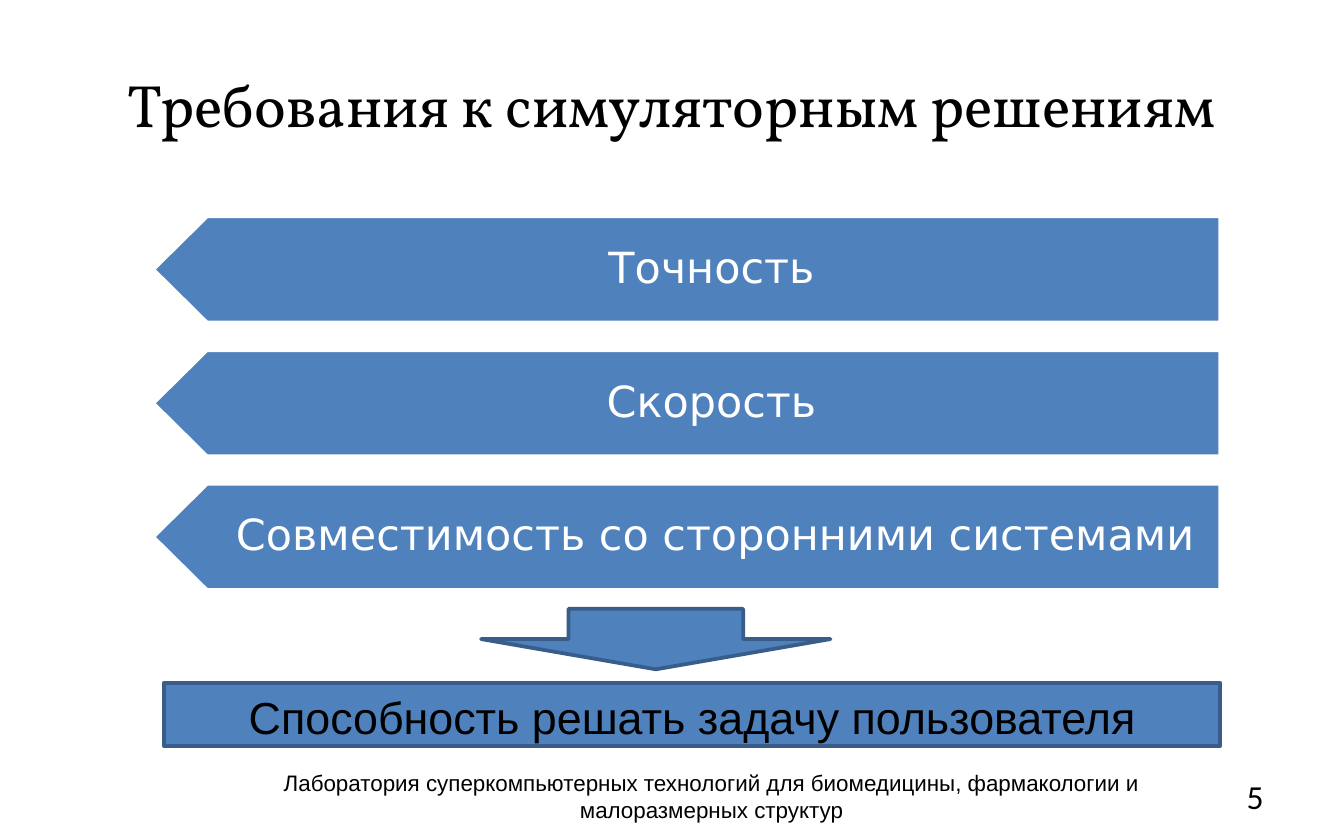
from pptx import Presentation
from pptx.dml.color import RGBColor
from pptx.enum.shapes import MSO_SHAPE
from pptx.enum.text import MSO_ANCHOR, MSO_AUTO_SIZE, PP_ALIGN
from pptx.util import Inches, Pt

CENTER, RIGHT = PP_ALIGN.CENTER, PP_ALIGN.RIGHT
MIDDLE, TOP = MSO_ANCHOR.MIDDLE, MSO_ANCHOR.TOP
RECT, ARROW = MSO_SHAPE.RECTANGLE, MSO_SHAPE.DOWN_ARROW

COLORS = {"fill": "4F81BD", "edge": "385D8A", "white": "FFFFFF", "black": "000000"}

TITLE = "Требования к симуляторным решениям"
BARS = [
    ("Точность", CENTER),
    ("Скорость", CENTER),
    ("Совместимость со сторонними системами", RIGHT),
]
RESULT = "Способность решать задачу пользователя"
# text, left, width, alignment, font, size
FOOTER = [
    ("Лаборатория суперкомпьютерных технологий для биомедицины, "
     "фармакологии и малоразмерных структур", 1.67, 7.25, CENTER, "Arial", 12),
    ("5", 9.08, 0.42, RIGHT, "Calibri", 18),
]

BAR_X, BAR_Y, BAR_W, BAR_H = 1.14, 1.61, 7.94, 0.79
BAR_STEP = 0.995
TIP = 0.4


def color(name):
    return RGBColor.from_string(COLORS[name])


def write(shape, text, font, size, align=CENTER, ink="black", anchor=MIDDLE):
    frame = shape.text_frame
    frame.word_wrap = True
    frame.auto_size = MSO_AUTO_SIZE.NONE
    frame.vertical_anchor = anchor
    frame.text = text
    para = frame.paragraphs[0]
    para.alignment = align
    run = para.runs[0].font
    run.name, run.size = font, Pt(size)
    run.color.rgb = color(ink)
    return frame


def paint(shape, edge):
    shape.shadow.inherit = False
    shape.fill.solid()
    shape.fill.fore_color.rgb = color("fill")
    shape.line.color.rgb = color(edge)
    shape.line.width = Pt(2)


def add_bar(shapes, top, text, align):
    """Draw a bar whose left end is a point."""
    right, low = BAR_X + BAR_W, top + BAR_H
    neck = BAR_X + TIP
    points = [(neck, low), (BAR_X, top + BAR_H / 2), (neck, top), (right, top)]
    pen = shapes.build_freeform(Inches(right), Inches(low))
    pen.add_line_segments([(Inches(x), Inches(y)) for x, y in points], close=True)
    bar = pen.convert_to_shape()
    paint(bar, "white")
    frame = write(bar, text, "DejaVu Sans", 23, align, "white")
    frame.margin_left, frame.margin_right = Inches(0.55), Inches(0.18)
    frame.margin_top = frame.margin_bottom = Inches(0.1)
    para = frame.paragraphs[0]
    para.line_spacing = 0.9
    para.space_after = Pt(10)


def main():
    deck = Presentation()
    deck.slide_width, deck.slide_height = Inches(10), Inches(6.22)
    slide = deck.slides.add_slide(deck.slide_layouts[5])
    shapes = slide.shapes

    title = shapes.title
    title.left, title.top = Inches(0.5), Inches(0.25)
    title.width, title.height = Inches(9), Inches(1.04)
    write(title, TITLE, "Vollkorn", 32)

    for i, (text, align) in enumerate(BARS):
        add_bar(shapes, BAR_Y + i * BAR_STEP, text, align)

    for text, left, width, align, font, size in FOOTER:
        box = shapes.add_textbox(Inches(left), Inches(5.76), Inches(width), Inches(0.33))
        write(box, text, font, size, align)

    result = shapes.add_shape(RECT, Inches(1.22), Inches(5.08), Inches(7.86), Inches(0.47))
    paint(result, "edge")
    write(result, RESULT, "Arial", 24, anchor=TOP)

    arrow = shapes.add_shape(ARROW, Inches(3.58), Inches(4.53), Inches(2.6), Inches(0.45))
    paint(arrow, "edge")

    deck.save("out.pptx")


if __name__ == "__main__":
    main()
